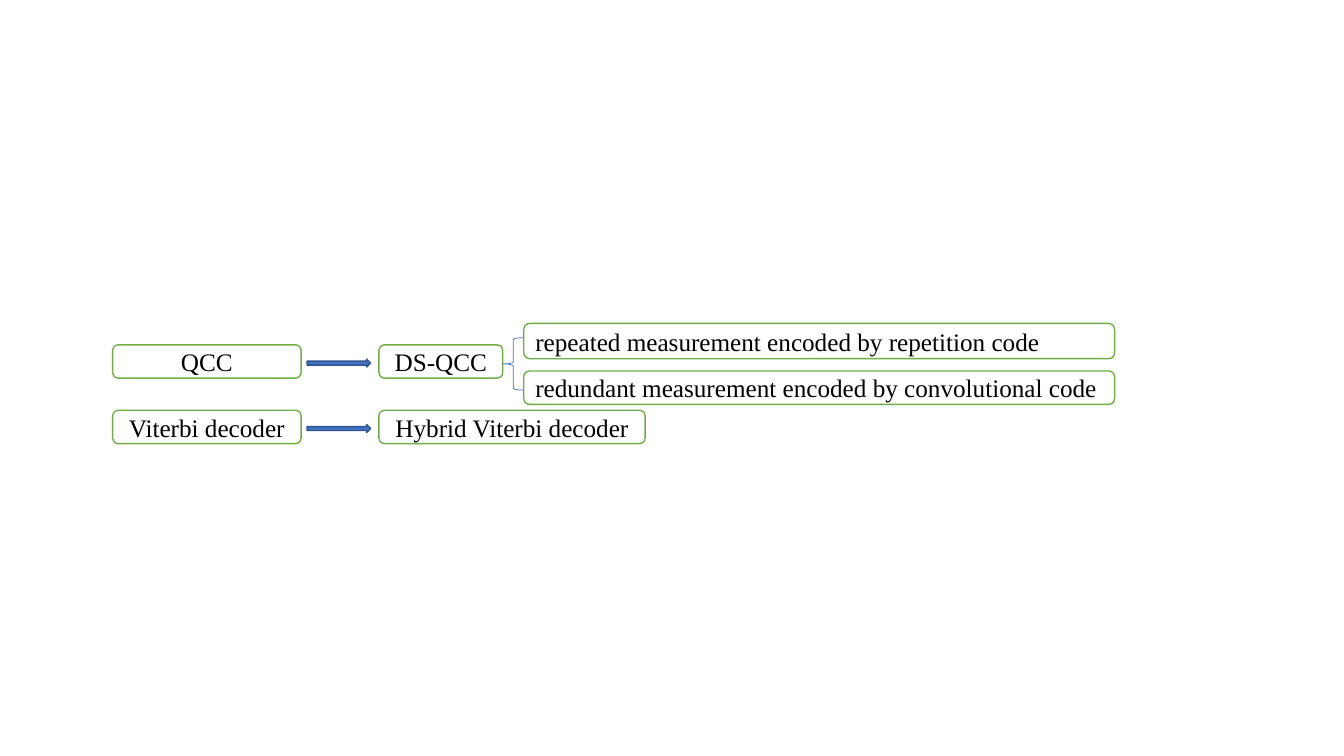
from dataclasses import dataclass
from pptx import Presentation
from pptx.dml.color import RGBColor
from pptx.enum.shapes import MSO_SHAPE
from pptx.enum.text import MSO_ANCHOR, PP_ALIGN
from pptx.util import Cm, Pt

ROUND = MSO_SHAPE.ROUNDED_RECTANGLE
ARROW = MSO_SHAPE.RIGHT_ARROW
BRACE = MSO_SHAPE.LEFT_BRACE
LEFT, CENTER = PP_ALIGN.LEFT, PP_ALIGN.CENTER
MIDDLE = MSO_ANCHOR.MIDDLE


@dataclass(frozen=True)
class Theme:
    font: str = "Times New Roman"
    size: int = 18
    ink: str = "000000"
    paper: str = "FFFFFF"
    green: str = "70AD47"
    blue: str = "4472C4"
    navy: str = "325491"
    row: float = 0.84  # height of a label, cm


THEME = Theme()


def add_form(slide, kind, box, line, width, fill=None):
    form = slide.shapes.add_shape(kind, *map(Cm, box))
    form.shadow.inherit = False
    form.line.color.rgb = RGBColor.from_string(line)
    form.line.width = Pt(width)
    if fill:
        form.fill.solid()
        form.fill.fore_color.rgb = RGBColor.from_string(fill)
    else:
        form.fill.background()
    return form


def add_label(slide, text, box, align=CENTER):
    form = add_form(slide, ROUND, box, THEME.green, 1, THEME.paper)
    frame = form.text_frame
    frame.text = text
    frame.vertical_anchor = MIDDLE
    par = frame.paragraphs[0]
    par.alignment = align
    font = par.runs[0].font
    font.name, font.size = THEME.font, Pt(THEME.size)
    font.color.rgb = RGBColor.from_string(THEME.ink)


def add_step(slide, box, before, after, wide):
    """One row: a label, an arrow and the label it leads to."""
    left, top, width, height = box
    add_label(slide, before, (left, top, width, height))
    add_label(slide, after, (left + 6.71, top, wide, height))
    add_form(slide, ARROW, (left + 4.9, top + 0.36, 1.6, 0.2),
             THEME.navy, 1, THEME.blue)


def add_split(slide, box):
    """A brace that opens onto the two kinds of measurement."""
    left, top, width, height = box
    add_form(slide, BRACE, (left, top + 0.36, 0.53, 1.32), THEME.blue, 0.5)
    left, width = left + 0.53, width - 0.53
    add_label(slide, "repeated measurement encoded by repetition code",
              (left, top, width, 0.89), LEFT)
    add_label(slide, "redundant measurement encoded by convolutional code",
              (left, top + height - THEME.row, width, THEME.row), LEFT)


def main():
    deck = Presentation()
    deck.slide_width, deck.slide_height = Cm(33.87), Cm(19.05)
    slide = deck.slides.add_slide(deck.slide_layouts[6])

    # Codes and their decoders
    steps = [("QCC", "DS-QCC", 3.12),
             ("Viterbi decoder", "Hybrid Viterbi decoder", 6.71)]
    for i, (before, after, wide) in enumerate(steps):
        box = (2.84, 8.69 + 1.65 * i, 4.75, THEME.row)
        add_step(slide, box, before, after, wide)

    # Two ways to measure
    add_split(slide, (12.67, 8.15, 15.42, 2.04))
    deck.save("out.pptx")


if __name__ == "__main__":
    main()
